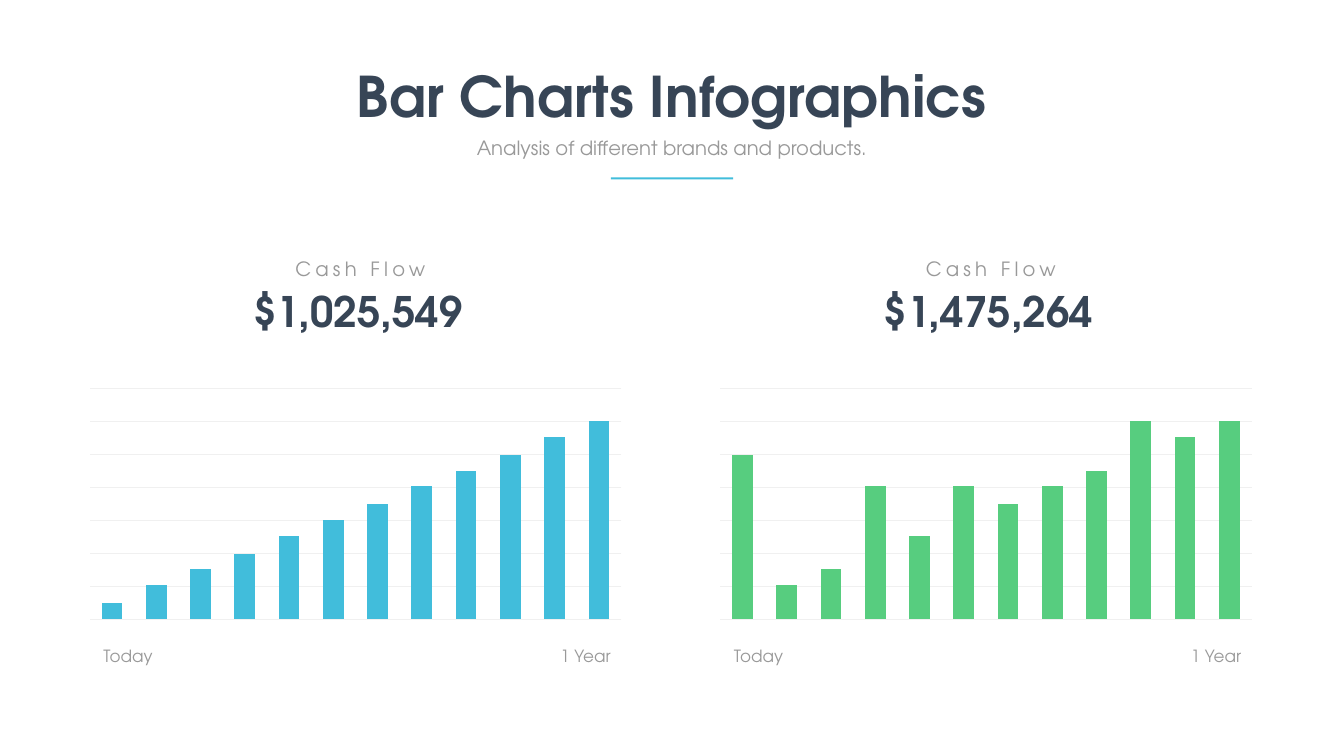
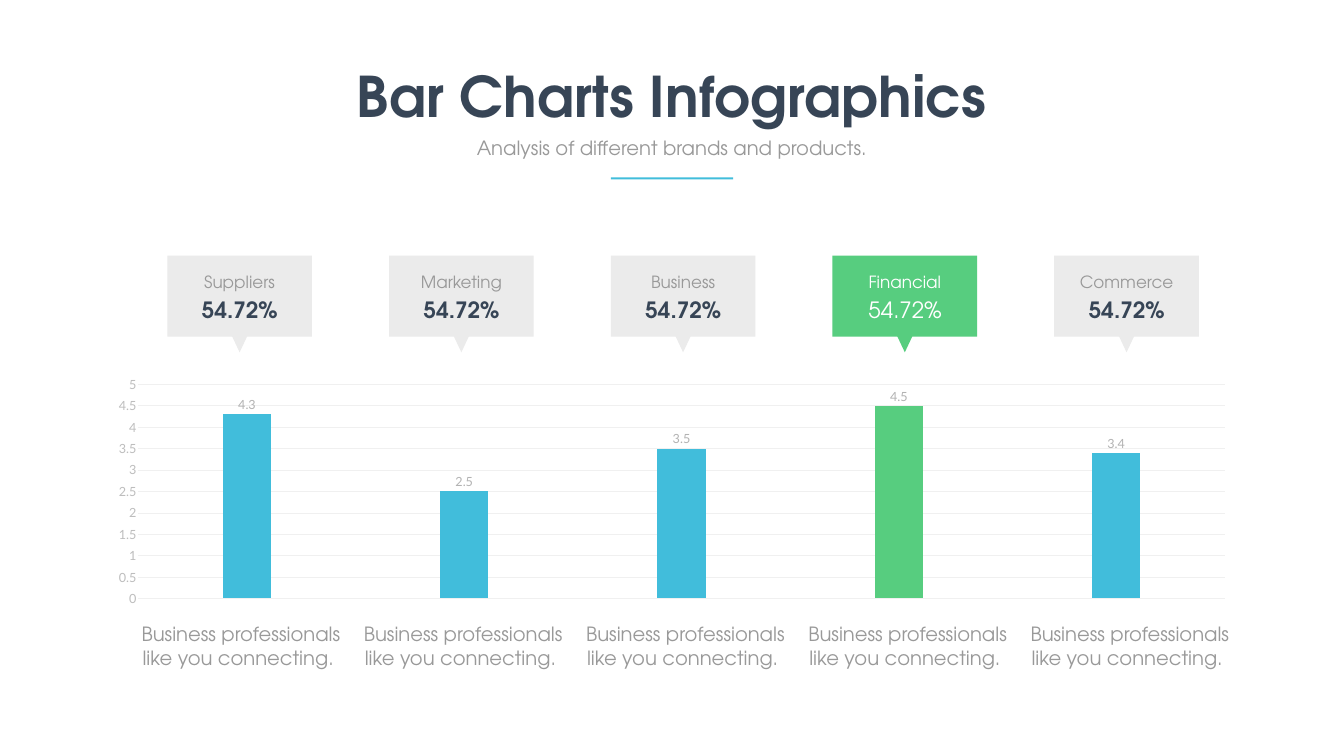
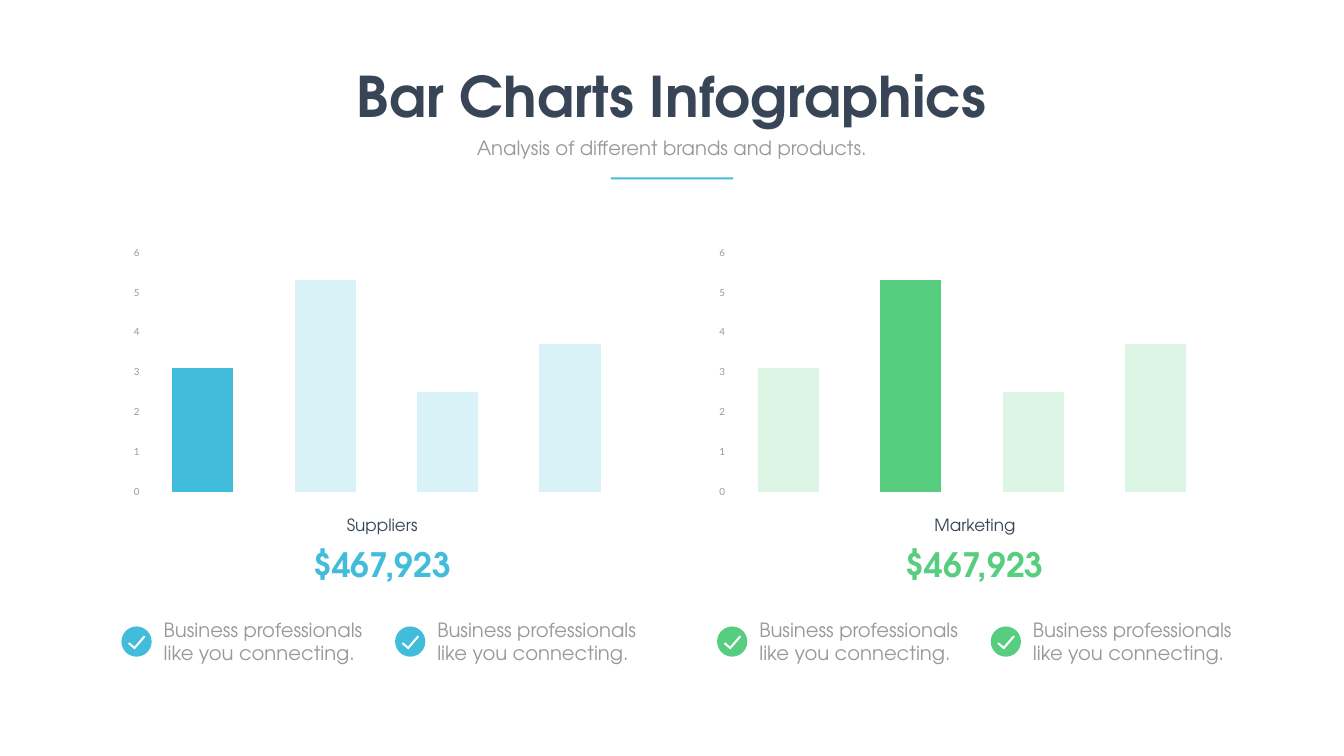
from dataclasses import dataclass

from pptx import Presentation
from pptx import util as u
from pptx.chart.data import CategoryChartData
from pptx.dml.color import RGBColor
from pptx.enum import chart as charts
from pptx.enum import shapes, text


@dataclass(frozen=True)
class Theme:
    # Colours
    navy: str = "374556"
    grey: str = "999999"
    white: str = "FFFFFF"
    blue: str = "41BDDB"
    pale_blue: str = "D9F2F8"
    green: str = "57CD7F"
    pale_green: str = "DDF5E5"
    panel: str = "EBEBEB"
    grid: str = "F0F0F0"
    axis: str = "BDBDBD"
    value: str = "B2B2B2"
    # Fonts and type sizes
    font: str = "TeX Gyre Adventor"
    chart_font: str = "Lato"
    plain_font: str = "Calibri"
    title: int = 80
    total: int = 60
    amount: int = 48
    percent: int = 32
    body: int = 28
    label: int = 24
    scale: int = 18
    small_scale: int = 14
    tiny: int = 10
    label_leading: float = 40.8


T = Theme()
CENTER, LEFT = text.PP_ALIGN.CENTER, text.PP_ALIGN.LEFT
NOTE = "Business professionals like you connecting."


def rgb(code):
    return RGBColor.from_string(code)


def inches(*lengths):
    return [u.Inches(round(length, 2)) for length in lengths]


def style_font(font, size, color, name=T.font, bold=False):
    font.name, font.size, font.bold = name, u.Pt(size), bold
    font.color.rgb = rgb(color)


def write(holder, words, size, color, bold=False, align=CENTER,
          leading=None, tracking=None, wrap=True):
    """Fill a text holder with one styled run."""
    frame = holder.text_frame
    frame.word_wrap = wrap
    frame.auto_size = text.MSO_AUTO_SIZE.SHAPE_TO_FIT_TEXT
    frame.vertical_anchor = text.MSO_ANCHOR.TOP
    line = frame.paragraphs[0]
    line.alignment = align
    if leading:
        line.line_spacing = u.Pt(leading)
    run = line.add_run()
    run.text = words
    style_font(run.font, size, color, bold=bold)
    if tracking:
        run._r.get_or_add_rPr().set("spc", str(tracking * 100))


def add_text(slide, box, words, size, color, **options):
    write(slide.shapes.add_textbox(*inches(*box)), words, size, color, **options)


def paint(shape, color):
    shape.shadow.inherit = False
    shape.fill.solid()
    shape.fill.fore_color.rgb = rgb(color)
    shape.line.fill.background()
    return shape


def add_filled(parent, kind, box, color):
    return paint(parent.shapes.add_shape(kind, *inches(*box)), color)


# Charts
def set_plot_area(chart, x, y, w, h):
    """Fix the inner plot area as fractions of the chart."""
    area = chart._chartSpace.chart.plotArea
    layout = area.find("{*}layout")
    if layout is None:
        layout = area.makeelement(area.tag.replace("plotArea", "layout"), {})
        area.insert(0, layout)

    def child(parent, tag, val=None):
        node = parent.makeelement(area.tag.replace("plotArea", tag), {})
        if val is not None:
            node.set("val", str(val))
        parent.append(node)
        return node

    manual = child(layout, "manualLayout")
    settings = dict(layoutTarget="inner", xMode="edge", yMode="edge", x=x, y=y, w=w, h=h)
    for tag, val in settings.items():
        child(manual, tag, val)


def add_columns(slide, box, values, color, top, step, gap, overlap=-27, stacked=False,
                grid=True, scale=None, font=T.chart_font, size=T.tiny, highlights=None):
    """Column chart; scale is the colour of the value axis, or None to hide it."""
    data = CategoryChartData()
    data.categories = [str(n + 1) for n in range(len(values))]
    data.add_series("Series 1", values)
    kind = charts.XL_CHART_TYPE.COLUMN_STACKED if stacked else charts.XL_CHART_TYPE.COLUMN_CLUSTERED
    chart = slide.shapes.add_chart(kind, *inches(*box), data).chart
    chart.has_legend = chart.has_title = False
    style_font(chart.font, size, T.grey, font)

    plot = chart.plots[0]
    plot.vary_by_categories = False
    plot.gap_width, plot.overlap = gap, overlap
    series = plot.series[0]
    series.invert_if_negative = False
    series.format.fill.solid()
    series.format.fill.fore_color.rgb = rgb(color)
    for index, accent in (highlights or {}).items():
        fill = series.points[index].format.fill
        fill.solid()
        fill.fore_color.rgb = rgb(accent)

    chart.category_axis.visible = False
    axis = chart.value_axis
    axis.minimum_scale, axis.maximum_scale, axis.major_unit = 0, top, step
    axis.has_major_gridlines = grid
    if grid:
        line = axis.major_gridlines.format.line
        line.color.rgb, line.width = rgb(T.grid), u.Pt(0.75)
    axis.visible = scale is not None
    if scale:
        axis.major_tick_mark = charts.XL_TICK_MARK.NONE
        axis.format.line.fill.background()
        style_font(axis.tick_labels.font, size, scale, font)
    return chart


# Heading shared by all slides
def add_heading_slide(deck):
    slide = deck.slides.add_slide(deck.slide_layouts[5])
    title = slide.shapes.title
    title.left, title.top, title.width, title.height = inches(6.92, 1.17, 12.82, 1.45)
    write(title, "Bar Charts Infographics", T.title, T.navy, bold=True, wrap=False)
    add_text(slide, (8.55, 2.65, 9.56, 0.57),
             "Analysis of different brands and products.", T.body, T.grey)
    add_filled(slide, shapes.MSO_SHAPE.RECTANGLE, (12.12, 3.52, 2.43, 0.04), T.blue)
    return slide


# Slide 1: cash flow panels
def cash_flow_panel(slide, left, top, total, values, color):
    add_text(slide, (left + 1.49, top + 0.58, 8.87, 1.11), total, T.total, T.navy, bold=True)
    add_text(slide, (left + 3.55, top, 4.84, 0.57), "Cash Flow", T.body, T.grey, tracking=6)
    for offset, moment in ((0.29, "Today"), (9.37, "1 Year")):
        add_text(slide, (left + offset, top + 7.55, 2.14, 0.6), moment,
                 T.label, T.grey, leading=T.label_leading)
    step = 16.67
    chart = add_columns(slide, (left, top + 1.72, 11.15, 6.16), values, color,
                        top=7 * step, step=step, gap=113, font=T.plain_font)
    set_plot_area(chart, 0.054, 0.153, 0.946, 0.743)


def cash_flow_slide(deck):
    slide = add_heading_slide(deck)
    cash_flow_panel(slide, 1.18, 5.04, "$1,025,549",
                    (8, 17, 25, 33, 42, 50, 58, 67, 75, 83, 92, 100), T.blue)
    cash_flow_panel(slide, 13.69, 5.04, "$1,475,264",
                    (83, 17, 25, 67, 42, 67, 58, 67, 75, 100, 92, 100), T.green)


# Slide 2: departments with callouts above the columns
def callout(slide, left, top, department, active):
    fill = T.green if active else T.panel
    bubble = slide.shapes.add_group_shape()
    add_filled(bubble, shapes.MSO_SHAPE.RECTANGLE, (left, top, 2.87, 1.61), fill)
    pointer = add_filled(bubble, shapes.MSO_SHAPE.ISOSCELES_TRIANGLE,
                         (left + 1.19, top + 1.4, 0.49, 0.52), fill)
    pointer.rotation = 180
    add_text(slide, (left, top + 0.11, 2.87, 0.6), department, T.label,
             T.white if active else T.grey, leading=T.label_leading)
    add_text(slide, (left + 0.53, top + 0.76, 1.82, 0.64), "54.72%", T.percent,
             T.white if active else T.navy, bold=not active)


def departments_slide(deck):
    slide = add_heading_slide(deck)
    chart = add_columns(slide, (1.9, 7.38, 22.86, 4.74), (4.3, 2.5, 3.5, 4.5, 3.4), T.blue,
                        top=5, step=0.5, gap=350, scale=T.axis, size=T.scale,
                        highlights={3: T.green})
    plot = chart.plots[0]
    plot.has_data_labels = True
    labels = plot.data_labels
    labels.show_value = True
    labels.position = charts.XL_LABEL_POSITION.OUTSIDE_END
    style_font(labels.font, T.scale, T.value, T.chart_font)

    departments = ("Suppliers", "Marketing", "Business", "Financial", "Commerce")
    for index, department in enumerate(departments):
        callout(slide, 3.32 + 4.4 * index, 5.07, department, department == "Financial")
        # The closing space keeps the second line slightly left of centre
        add_text(slide, (2.56 + 4.41 * index, 12.3, 4.44, 1.04), NOTE + " ", T.body, T.grey)


# Slide 3: one highlighted column per panel, with checked notes
def checked_note(slide, left, top, color):
    badge = slide.shapes.add_group_shape()
    add_filled(badge, shapes.MSO_SHAPE.OVAL, (left, top + 0.22, 0.6, 0.6), color)
    x, y = left + 0.14, top + 0.41
    corners = [(0, 0), (0.04, 0), (0.04, 0.13), (0.33, 0.13), (0.33, 0.17), (0, 0.17)]
    points = [(u.Inches(x + dx), u.Inches(y + dy)) for dx, dy in corners]
    outline = badge.shapes.build_freeform(*points[0])
    outline.add_line_segments(points[1:], close=True)
    paint(outline.convert_to_shape(), T.white).rotation = 310.7
    add_text(slide, (left + 0.74, top, 4.41, 1.04), NOTE, T.body, T.grey, align=LEFT)


def sales_panel(slide, chart_left, amount_left, notes_left, department, color, pale, active):
    add_columns(slide, (chart_left, 4.78, 10.28, 5.2), (3.1, 5.3, 2.5, 3.7), pale,
                top=6, step=1, gap=100, overlap=100, stacked=True, grid=False,
                scale=T.grey, size=T.small_scale, highlights={active: color})
    add_text(slide, (amount_left, 10.75, 4.85, 0.91), "$467,923", T.amount, color, bold=True)
    add_text(slide, (amount_left, 10.17, 4.85, 0.5), department, T.label, T.navy)
    for column in range(2):
        checked_note(slide, notes_left + 5.43 * column, 12.21, color)


def sales_slide(deck):
    slide = add_heading_slide(deck)
    sales_panel(slide, 2.45, 5.16, 2.41, "Suppliers", T.blue, T.pale_blue, active=0)
    sales_panel(slide, 14.07, 16.92, 14.23, "Marketing", T.green, T.pale_green, active=1)


def main():
    deck = Presentation()
    deck.slide_width, deck.slide_height = inches(26.67, 15)
    cash_flow_slide(deck)
    departments_slide(deck)
    sales_slide(deck)
    deck.save("out.pptx")


if __name__ == "__main__":
    main()
